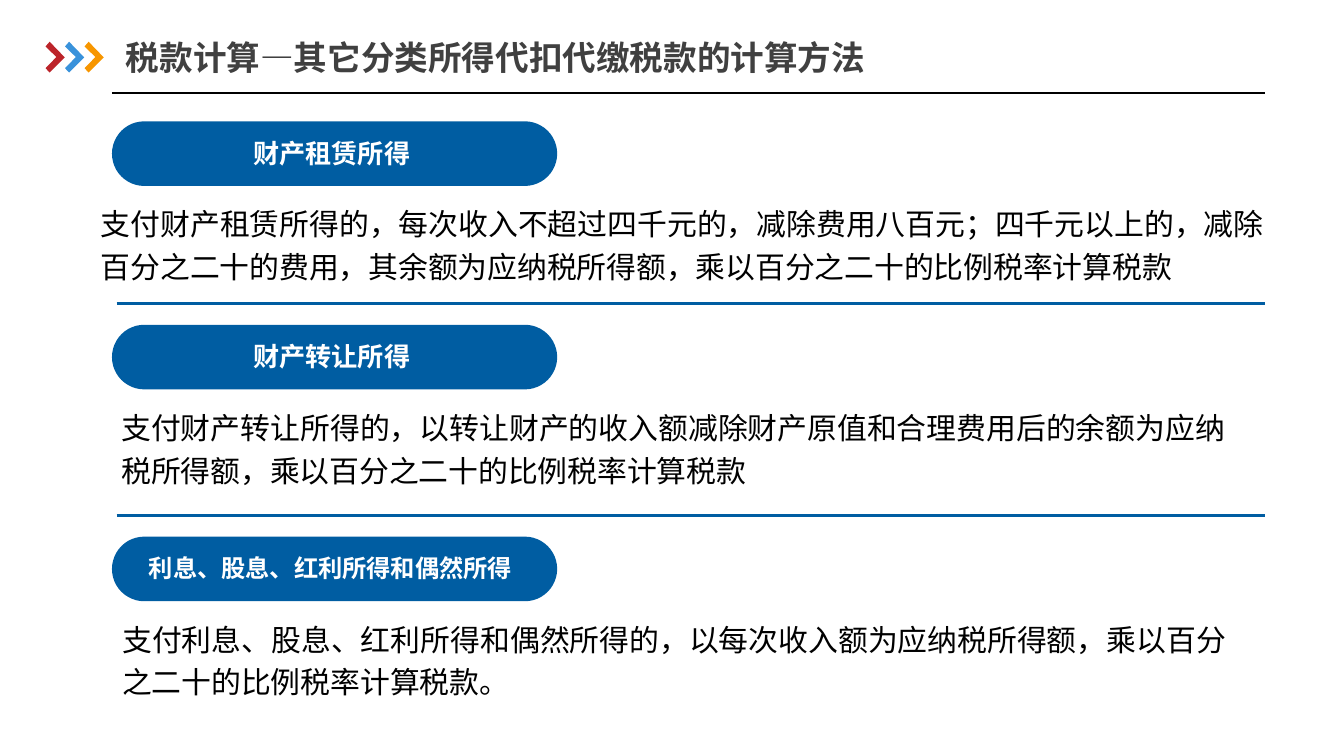
from lxml.etree import SubElement
from pptx import Presentation
from pptx.dml.color import RGBColor
from pptx.enum.shapes import MSO_CONNECTOR as Connector, MSO_SHAPE as Shape
from pptx.enum.text import MSO_ANCHOR as Anchor, MSO_AUTO_SIZE as AutoSize, PP_ALIGN as Align
from pptx.oxml.ns import qn
from pptx.util import Pt

HEADING_FONT, BODY_FONT = "Noto Sans CJK SC", "Calibri"
BLUE, BLACK, WHITE, GREY = "005DA2", "000000", "FFFFFF", "404040"

TITLE = "税款计算—其它分类所得代扣代缴税款的计算方法"
CHEVRON_COLORS = ["BC242A", "3992DB", "F79600"]
CHEVRON = [(2.2, 16.5), (0, 14.2), (5.8, 8.2), (0, 2.5), (2.2, 0), (10.3, 8.4)]
CHEVRON_LEFT, CHEVRON_TOP, CHEVRON_STEP = 24.4, 22.4, 10.45

SECTIONS = [
    dict(top=65, label="财产租赁所得", label_size=14, label_left=105, label_width=145.5,
         body_left=54, body_width=623.5,
         body="支付财产租赁所得的，每次收入不超过四千元的，减除费用八百元；四千元以上的，"
              "减除百分之二十的费用，其余额为应纳税所得额，乘以百分之二十的比例税率计算税款"),
    dict(top=174, label="财产转让所得", label_size=14, label_left=105, label_width=145.5,
         body_left=65, body_width=592,
         body="支付财产转让所得的，以转让财产的收入额减除财产原值和合理费用后的余额为"
              "应纳税所得额，乘以百分之二十的比例税率计算税款"),
    dict(top=287.5, label="利息、股息、红利所得和偶然所得", label_size=13,
         label_left=73, label_width=208, body_left=65.5, body_width=592,
         body="支付利息、股息、红利所得和偶然所得的，以每次收入额为应纳税所得额，"
              "乘以百分之二十的比例税率计算税款。"),
]
PILL_LEFT, PILL_WIDTH, PILL_HEIGHT = 60, 238.5, 34.6
LABEL_DROP, LABEL_HEIGHT = 5.6, 24.5
BODY_DROP, BODY_HEIGHT = 41.5, 46
DIVIDER_LEFT, RIGHT_EDGE, DIVIDER_RISE = 62.5, 677.5, 11.2


def color(hex_string):
    return RGBColor.from_string(hex_string)


def add_text(page, text, left, top, width, height, size, hue, font=HEADING_FONT,
             bold=True, align=None, spacing=None, anchor=Anchor.MIDDLE, margin=0):
    box = page.shapes.add_textbox(Pt(left), Pt(top), Pt(width), Pt(height))
    frame = box.text_frame
    frame.text = text
    frame.word_wrap = True
    frame.vertical_anchor = anchor
    frame.margin_left = frame.margin_right = 0
    frame.margin_top = frame.margin_bottom = Pt(margin)
    para = frame.paragraphs[0]
    para.alignment, para.line_spacing = align, spacing
    span = para.runs[0]
    span.font.name, span.font.size, span.font.bold = font, Pt(size), bold
    span.font.color.rgb = color(hue)
    east_asian = SubElement(span.font._element, qn("a:ea"))
    east_asian.set("typeface", HEADING_FONT)
    return box


def paint(shape, hue):
    shape.shadow.inherit = False
    shape.fill.solid()
    shape.fill.fore_color.rgb = color(hue)
    shape.line.fill.background()


def add_rule(page, left, y, hue, width):
    """Draw a horizontal line from left to the right edge of the content."""
    rule = page.shapes.add_connector(Connector.STRAIGHT, Pt(left), Pt(y), Pt(RIGHT_EDGE), Pt(y))
    rule.line.color.rgb = color(hue)
    rule.line.width = Pt(width)
    SubElement(rule._element.spPr, qn("a:effectLst"))


def add_chevron(page, left, hue):
    points = [(Pt(left + x), Pt(CHEVRON_TOP + y)) for x, y in CHEVRON]
    builder = page.shapes.build_freeform(*points[0])
    builder.add_line_segments(points[1:], close=True)
    paint(builder.convert_to_shape(), hue)


def add_section(page, section):
    top = section["top"]
    pill = page.shapes.add_shape(Shape.ROUNDED_RECTANGLE, Pt(PILL_LEFT), Pt(top),
                                 Pt(PILL_WIDTH), Pt(PILL_HEIGHT))
    pill.adjustments[0] = 0.5
    paint(pill, BLUE)
    add_text(page, section["label"], section["label_left"], top + LABEL_DROP,
             section["label_width"], LABEL_HEIGHT, section["label_size"], WHITE,
             align=Align.CENTER, spacing=0.9)
    body = add_text(page, section["body"], section["body_left"], top + BODY_DROP,
                    section["body_width"], BODY_HEIGHT, 16, BLACK, font=BODY_FONT, bold=False,
                    align=Align.JUSTIFY, spacing=1.2, anchor=Anchor.TOP)
    body.text_frame.auto_size = AutoSize.SHAPE_TO_FIT_TEXT


deck = Presentation()
deck.slide_width, deck.slide_height = Pt(720), Pt(405)
page = deck.slides.add_slide(deck.slide_layouts[6])

add_text(page, TITLE, 67.5, 16, 598.5, 29.5, 18, GREY, margin=3.6)
for index, hue in enumerate(CHEVRON_COLORS):
    add_chevron(page, CHEVRON_LEFT + index * CHEVRON_STEP, hue)
add_rule(page, PILL_LEFT, 49.8, BLACK, 0.75)

for index, section in enumerate(SECTIONS):
    if index:
        add_rule(page, DIVIDER_LEFT, section["top"] - DIVIDER_RISE, BLUE, 1.5)
    add_section(page, section)

deck.save("out.pptx")
